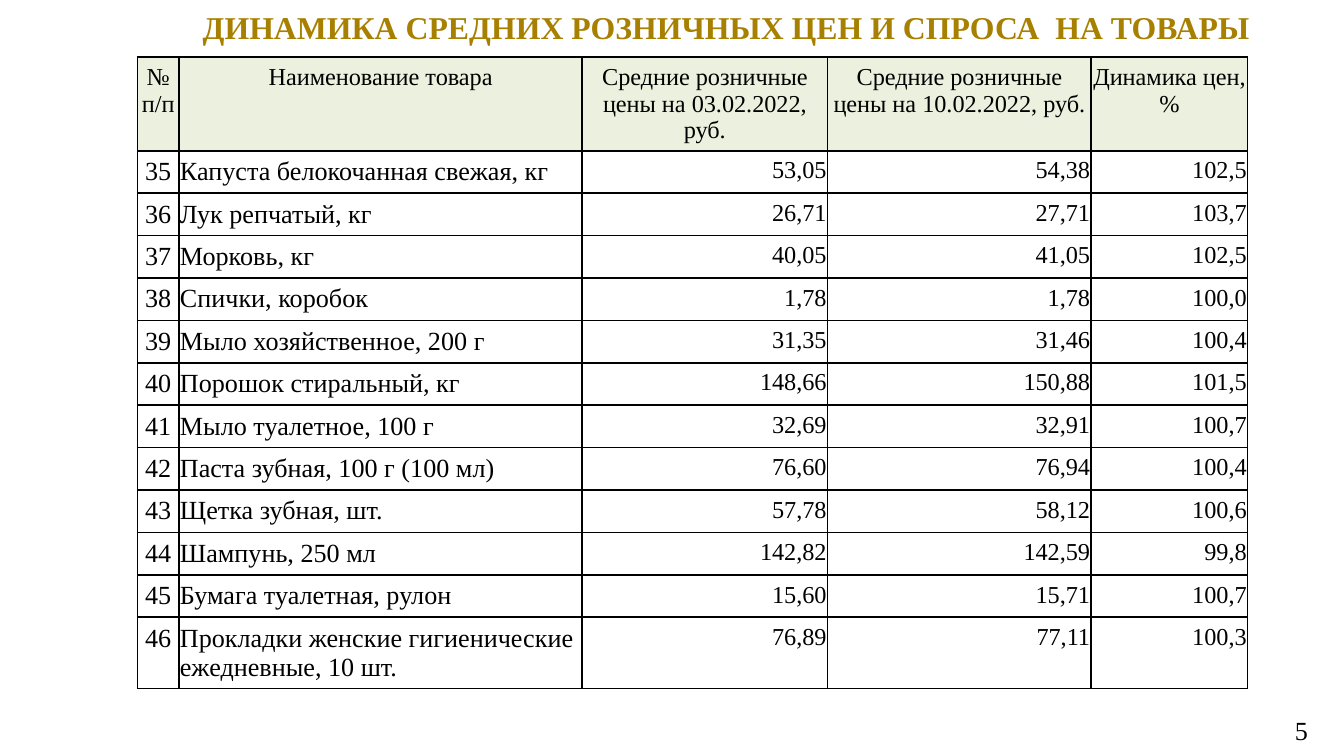
import pptx
import pptx.util
import pptx.dml.color
import pptx.enum.text
import pptx.oxml
import pptx.oxml.ns

Cm = pptx.util.Cm
Pt = pptx.util.Pt
Align = pptx.enum.text.PP_ALIGN
Anchor = pptx.enum.text.MSO_ANCHOR


def color(code):
    return pptx.dml.color.RGBColor.from_string(code)


def style(frame, size, align, code="000000", bold=False):
    for para in frame.paragraphs:
        para.alignment = align
        for run in para.runs:
            run.font.name = "Times New Roman"
            run.font.size = Pt(size)
            run.font.bold = bold
            run.font.color.rgb = color(code)


heads = [
    "№ п/п",
    "Наименование товара",
    "Средние розничные цены на 03.02.2022, руб.",
    "Средние розничные цены на 10.02.2022, руб.",
    "Динамика цен, %",
]
goods = [
    ("Капуста белокочанная свежая, кг", "53,05", "54,38", "102,5"),
    ("Лук репчатый, кг", "26,71", "27,71", "103,7"),
    ("Морковь, кг", "40,05", "41,05", "102,5"),
    ("Спички, коробок", "1,78", "1,78", "100,0"),
    ("Мыло хозяйственное, 200 г", "31,35", "31,46", "100,4"),
    ("Порошок стиральный, кг", "148,66", "150,88", "101,5"),
    ("Мыло туалетное, 100 г", "32,69", "32,91", "100,7"),
    ("Паста зубная, 100 г (100 мл)", "76,60", "76,94", "100,4"),
    ("Щетка зубная, шт.", "57,78", "58,12", "100,6"),
    ("Шампунь, 250 мл", "142,82", "142,59", "99,8"),
    ("Бумага туалетная, рулон", "15,60", "15,71", "100,7"),
    ("Прокладки женские гигиенические ежедневные, 10 шт.", "76,89", "77,11", "100,3"),
]
first = 35
rows = [heads] + [(str(first + i), *item) for i, item in enumerate(goods)]
widths = [0.78, 7.62, 4.64, 4.98, 2.96]
highs = [1.32] + [0.76] * (len(goods) - 1) + [1.27]

deck = pptx.Presentation()
deck.slide_width = Cm(25.4)
deck.slide_height = Cm(14.28)
slide = deck.slides.add_slide(deck.slide_layouts[5])

title = slide.shapes.title
title.left, title.top, title.width, title.height = Cm(3), Cm(0.1), Cm(21.9), Cm(0.82)
frame = title.text_frame
frame.text = "ДИНАМИКА СРЕДНИХ РОЗНИЧНЫХ ЦЕН И СПРОСА  НА ТОВАРЫ"
frame.auto_size = pptx.enum.text.MSO_AUTO_SIZE.NONE
frame.vertical_anchor = Anchor.MIDDLE
frame.margin_right = Cm(0.7)
style(frame, 17, Align.CENTER, "A88000", True)

grid = slide.shapes.add_table(
    len(rows), len(heads), Cm(2.6), Cm(1.08), Cm(sum(widths)), Cm(sum(highs))
).table
for col, width in zip(grid.columns, widths):
    col.width = Cm(width)
for row, high in zip(grid.rows, highs):
    row.height = Cm(high)

aligns = [Align.CENTER, Align.LEFT] + [Align.RIGHT] * 3
for r, row in enumerate(rows):
    for c, text in enumerate(row):
        cell = grid.cell(r, c)
        cell.text_frame.text = text
        cell.margin_left = cell.margin_right = Cm(0.02)
        cell.vertical_anchor = Anchor.TOP
        size = 14 if r and c < 2 else 13
        style(cell.text_frame, size, aligns[c] if r else Align.CENTER)
        props = cell._tc.get_or_add_tcPr()
        for side in ("lnL", "lnR", "lnT", "lnB"):
            props.append(pptx.oxml.parse_xml(
                f'<a:{side} {pptx.oxml.ns.nsdecls("a")} w="12192"><a:solidFill>'
                f'<a:srgbClr val="000000"/></a:solidFill></a:{side}>'
            ))
        cell.fill.solid()
        cell.fill.fore_color.rgb = color("FFFFFF" if r else "EBF1DE")

page = slide.shapes.add_textbox(Cm(23.77), Cm(13.36), Cm(1.2), Cm(0.76))
page.text_frame.word_wrap = True
page.text_frame.text = "5"
style(page.text_frame, 14, Align.RIGHT)

deck.save("out.pptx")
